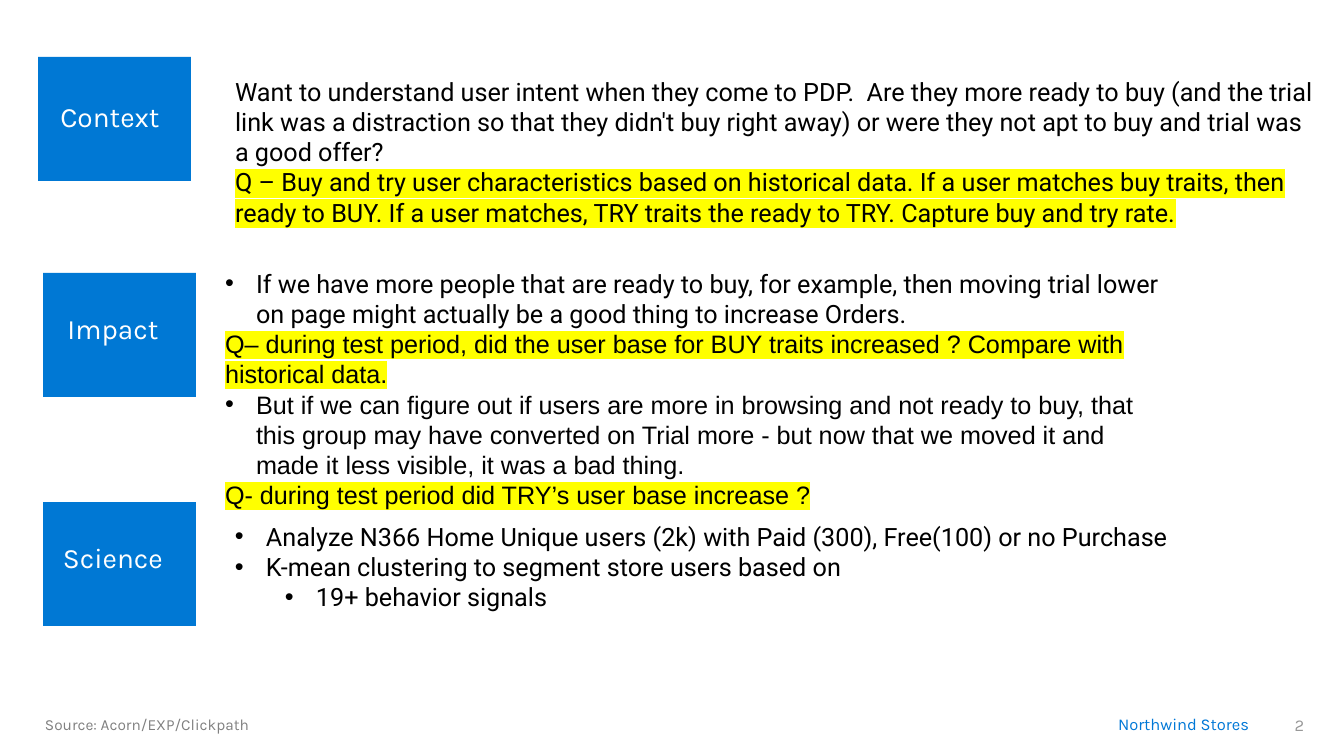
from lxml.etree import SubElement
from pptx import Presentation
from pptx.dml.color import RGBColor
from pptx.enum.shapes import MSO_SHAPE
from pptx.enum.text import MSO_ANCHOR, PP_ALIGN
from pptx.oxml.ns import qn
from pptx.util import Pt

PX = 914400 / 100.8
COLORS = {"tile": "0078D4", "brand": "0078D7", "white": "FFFFFF", "black": "000000",
          "source": "808080", "number": "989898", "highlight": "FFFF00"}
TILE_SIZE = (153, 124)
LABEL_SIZE = (162, 64)
HANGING = 31
SUB_INDENT = 50

SECTIONS = [
    {"label": "Context", "tile_at": (38, 57), "label_at": (29, 88),
     "body": (225, 71, 1106, 254), "margins": (10, 5, 10, 5),
     "lines": [
         ("plain", "Roboto", "Want to understand user intent when they come to PDP.  Are they more ready to buy (and the trial link was a distraction so that they didn't buy right away) or were they not apt to buy and trial was a good offer?"),
         ("question", "Roboto", "Q – Buy and try user characteristics based on historical data. If a user matches buy traits, then ready to BUY. If a user matches, TRY traits the ready to TRY. Capture buy and try rate."),
     ]},
    {"label": "Impact", "tile_at": (43, 273), "label_at": (32, 300),
     "body": (225, 268, 947, 244), "margins": (0, 0, 0, 0),
     "lines": [
         ("bullet", "Roboto", "If we have more people that are ready to buy, for example, then moving trial lower on page might actually be a good thing to increase Orders."),
         ("question", "Arial", "Q– during test period, did the user base for BUY traits increased ? Compare with historical data."),
         ("bullet", "Arial", "But if we can figure out if users are more in browsing and not ready to buy, that this group may have converted on Trial more - but now that we moved it and made it less visible, it was a bad thing."),
         ("question", "Arial", "Q- during test period did TRY’s user base increase ?"),
     ]},
    {"label": "Science", "tile_at": (43, 502), "label_at": (32, 529),
     "body": (225, 516, 1068, 102), "margins": (10, 5, 10, 5),
     "lines": [
         ("bullet", "Roboto", "Analyze N366 Home Unique users (2k) with Paid (300), Free(100) or no Purchase"),
         ("bullet", "Roboto", "K-mean clustering to segment store users based on"),
         ("sub-bullet", "Roboto", "19+ behavior signals"),
     ]},
]
SOURCE = "Source: Acorn/EXP/Clickpath"
BRAND = "Northwind Stores"
PAGE_NUMBER = "2"


def px(length):
    return round(length * PX)


def rgb(name):
    return RGBColor.from_string(COLORS[name])


def add_rectangle(box, color):
    rectangle = slide.shapes.add_shape(MSO_SHAPE.RECTANGLE, *map(px, box))
    rectangle.shadow.inherit = False
    rectangle.fill.solid()
    rectangle.fill.fore_color.rgb = rgb(color)
    rectangle.line.fill.background()
    return rectangle


def set_up_frame(frame, margins, anchor=MSO_ANCHOR.TOP):
    frame.word_wrap = True
    frame.vertical_anchor = anchor
    frame.margin_left, frame.margin_top, frame.margin_right, frame.margin_bottom = map(px, margins)
    return frame


def add_text(box, margins, anchor=MSO_ANCHOR.TOP):
    return set_up_frame(slide.shapes.add_textbox(*map(px, box)).text_frame, margins, anchor)


def write(paragraph, text, font, size, color, align=PP_ALIGN.LEFT, spacing=None):
    paragraph.text = text
    paragraph.alignment = align
    paragraph.line_spacing = spacing
    paragraph.font.name = font
    paragraph.font.size = Pt(size)
    paragraph.font.color.rgb = rgb(color)


def add_bullet(paragraph, level):
    properties = paragraph._p.get_or_add_pPr()
    properties.set("marL", str(px(HANGING + level * SUB_INDENT)))
    properties.set("indent", str(-px(HANGING)))
    SubElement(properties, qn("a:buFont"), typeface="Arial")
    SubElement(properties, qn("a:buChar"), char="•")
    paragraph.level = level


def add_highlight(paragraph):
    run_properties = paragraph.runs[0]._r.get_or_add_rPr()
    highlight = SubElement(run_properties, qn("a:highlight"))
    SubElement(highlight, qn("a:srgbClr"), val=COLORS["highlight"])


def add_section(section):
    add_rectangle(section["tile_at"] + TILE_SIZE, "tile")
    label = add_text(section["label_at"] + LABEL_SIZE, (20, 16, 20, 16))
    write(label.paragraphs[0], section["label"], "Karla", 20, "white", PP_ALIGN.CENTER, 0.9)
    body = add_text(section["body"], section["margins"])
    for index, (role, font, text) in enumerate(section["lines"]):
        paragraph = body.add_paragraph() if index else body.paragraphs[0]
        if role.endswith("bullet"):
            add_bullet(paragraph, int(role == "sub-bullet"))
        write(paragraph, text, font, 18, "black")
        if role == "question":
            add_highlight(paragraph)


deck = Presentation()
deck.slide_width, deck.slide_height = px(1344), px(756)
slide = deck.slides.add_slide(deck.slide_layouts[6])

for section in SECTIONS:
    add_section(section)

source = add_rectangle((29, 707, 302, 37), "white")
source_frame = set_up_frame(source.text_frame, (16, 10, 16, 10), MSO_ANCHOR.MIDDLE)
write(source_frame.paragraphs[0], SOURCE, "Karla", 11, "source", spacing=0.9)

brand = add_text((900, 716, 349, 18), (0, 0, 0, 0))
write(brand.paragraphs[0], BRAND, "Karla", 11.8, "brand", PP_ALIGN.RIGHT, 0.9)

page_number = add_text((1248, 705, 66, 40), (10, 5, 10, 5), MSO_ANCHOR.MIDDLE)
write(page_number.paragraphs[0], PAGE_NUMBER, "Karla", 11.8, "number", PP_ALIGN.RIGHT)

deck.save("out.pptx")
